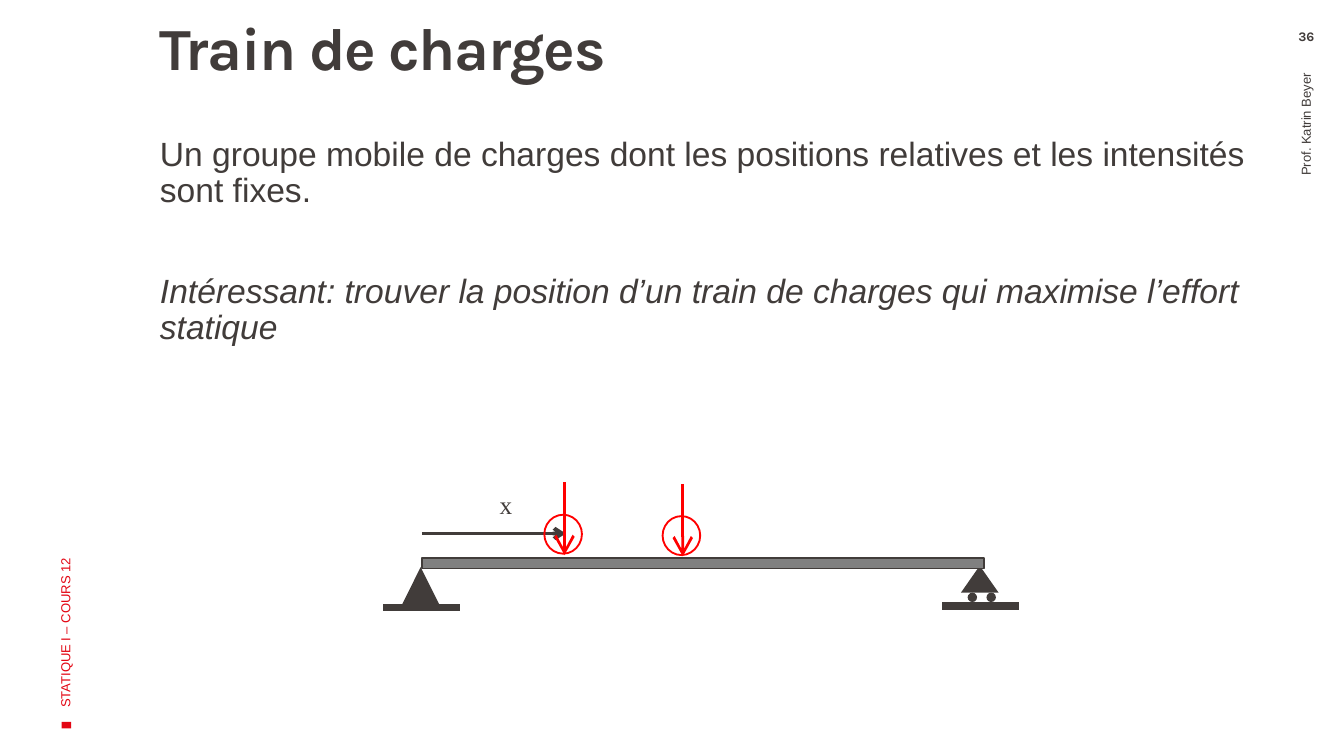
from dataclasses import dataclass

from lxml import etree
from pptx import Presentation
from pptx import util as u
from pptx.dml.color import RGBColor
from pptx.enum import shapes, text
from pptx.oxml.ns import qn

PX = 9144  # EMU per px, 100 px to the inch
SLIDE_WIDTH = 1000 * PX

COLORS = {"ink": "413C3A", "red": "E30613", "load": "FF0000", "beam": "808080"}


@dataclass(frozen=True)
class Box:
    left: int
    top: int
    width: int
    height: int

    def emu(self) -> list[int]:
        return [side * PX for side in (self.left, self.top, self.width, self.height)]


@dataclass(frozen=True)
class Support:
    x: int
    top: int
    height: int
    ground: int
    wheels: tuple[int, ...] = ()  # offsets from the apex


@dataclass(frozen=True)
class Load:
    x: int
    top: int


def color(name: str) -> RGBColor:
    return RGBColor.from_string(COLORS[name])


def add_frame(slide, box: Box, insets=(10, 5, 10, 5), rotation=0,
              anchor=text.MSO_ANCHOR.TOP, wrap=True):
    shape = slide.shapes.add_textbox(*box.emu())
    shape.rotation = rotation
    frame = shape.text_frame
    frame.word_wrap = wrap
    frame.vertical_anchor = anchor
    (frame.margin_left, frame.margin_top,
     frame.margin_right, frame.margin_bottom) = [inset * PX for inset in insets]
    return frame


def write(frame, content: str, *, size: float, font="Arial", ink="ink", bold=False,
          italic=False, align=text.PP_ALIGN.LEFT, line=1.0, before=0, spacing=0) -> None:
    paragraph = frame.paragraphs[0]
    if paragraph.runs:
        paragraph = frame.add_paragraph()
    paragraph.alignment = align
    paragraph.line_spacing = line
    paragraph.space_before = u.Pt(before)
    run = paragraph.add_run()
    run.text = content
    run.font.name = font
    run.font.size = u.Pt(size)
    run.font.bold = bold
    run.font.italic = italic
    run.font.color.rgb = color(ink)
    if spacing:
        run._r.get_or_add_rPr().set("spc", str(spacing))


def add_figure(slide, kind, box: Box, fill: str = "", line: str = "", rotation=0) -> None:
    shape = slide.shapes.add_shape(kind, *box.emu())
    shape.shadow.inherit = False
    shape.rotation = rotation
    if fill:
        shape.fill.solid()
        shape.fill.fore_color.rgb = color(fill)
    else:
        shape.fill.background()
    if line:
        shape.line.color.rgb = color(line)
        shape.line.width = u.Pt(1)
    else:
        shape.line.fill.background()


def add_line(slide, start: tuple[int, int], end: tuple[int, int],
             ink: str, width: float, arrow: str = "") -> None:
    """Draw a line; arrow is the size of its head: med or lg."""
    points = [value * PX for value in start + end]
    connector = slide.shapes.add_connector(shapes.MSO_CONNECTOR.STRAIGHT, *points)
    connector.line.color.rgb = color(ink)
    connector.line.width = u.Pt(width)
    if arrow:
        etree.SubElement(connector.line._get_or_add_ln(), qn("a:tailEnd"),
                         type="arrow", w=arrow, len=arrow)
    etree.SubElement(connector._element.spPr, qn("a:effectLst"))


def add_support(slide, support: Support) -> None:
    x = support.x
    add_figure(slide, shapes.MSO_SHAPE.ISOSCELES_TRIANGLE,
               Box(x - 14, support.top, 28, support.height), fill="ink")
    add_line(slide, (x - 28, support.ground), (x + 29, support.ground), "ink", 4)
    for offset in support.wheels:
        add_figure(slide, shapes.MSO_SHAPE.OVAL,
                   Box(x + offset, support.top + support.height, 7, 7), fill="ink")


def add_load(slide, load: Load) -> None:
    add_line(slide, (load.x, load.top), (load.x, load.top + 54), "load", 1.5, arrow="lg")
    add_figure(slide, shapes.MSO_SHAPE.OVAL,
               Box(load.x - 15, load.top + 24, 28, 29), line="load")


def main() -> None:
    presentation = Presentation()
    presentation.slide_width = SLIDE_WIDTH
    presentation.slide_height = SLIDE_WIDTH * 9 // 16
    slide = presentation.slides.add_slide(presentation.slide_layouts[6])

    # Body and title
    body = add_frame(slide, Box(99, 96, 845, 370), insets=(20, 6, 10, 5))
    write(body, "Un groupe mobile de charges dont les positions relatives "
                "et les intensités sont fixes.", size=18, line=0.9)
    write(body, "Intéressant: trouver la position d’un train de charges "
                "qui maximise l’effort statique",
          size=18, line=0.9, italic=True, before=34.5)
    title = add_frame(slide, Box(99, 14, 767, 117), insets=(20, 0, 8, 5))
    write(title, "Train de charges", size=32, font="Karla", bold=True,
          line=0.9, spacing=-70)

    # Margin labels and page number
    add_figure(slide, shapes.MSO_SHAPE.RECTANGLE, Box(47, 536, 5, 7),
               fill="red", rotation=270)
    course = add_frame(slide, Box(-134, 304, 365, 100), rotation=270,
                       anchor=text.MSO_ANCHOR.MIDDLE)
    write(course, "STATIQUE I – COURS 12", size=7, ink="red")
    teacher = add_frame(slide, Box(778, 205, 387, 56), insets=(10, 5, 15, 5),
                        rotation=270, anchor=text.MSO_ANCHOR.MIDDLE)
    write(teacher, "Prof. Katrin Beyer", size=7, align=text.PP_ALIGN.RIGHT)
    number = add_frame(slide, Box(944, 21, 56, 18), insets=(10, 0, 10, 0))
    write(number, "36", size=7, font="Karla", bold=True, align=text.PP_ALIGN.CENTER)

    # Beam on a fixed and a rolling support
    for support in (Support(313, 422, 28, 452),
                    Support(729, 421, 20, 451, wheels=(-9, 5))):
        add_support(slide, support)
    add_figure(slide, shapes.MSO_SHAPE.RECTANGLE, Box(314, 415, 418, 8),
               fill="beam", line="ink")

    # Position x of the moving loads
    add_line(slide, (314, 397), (421, 397), "ink", 2, arrow="med")
    label = add_frame(slide, Box(362, 359, 30, 37), wrap=False)
    write(label, "x", size=13.5, font="Times New Roman")
    for load in (Load(420, 359), Load(508, 360)):
        add_load(slide, load)

    presentation.save("out.pptx")


if __name__ == "__main__":
    main()
